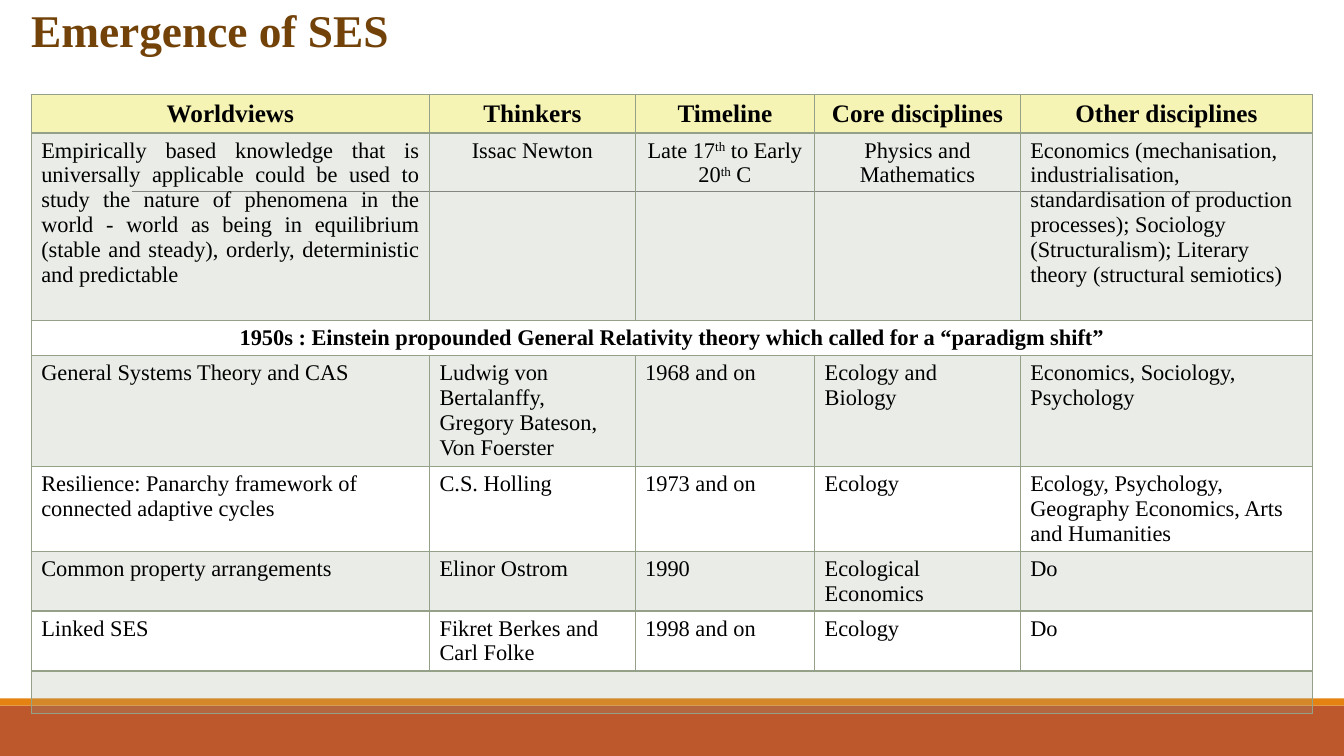
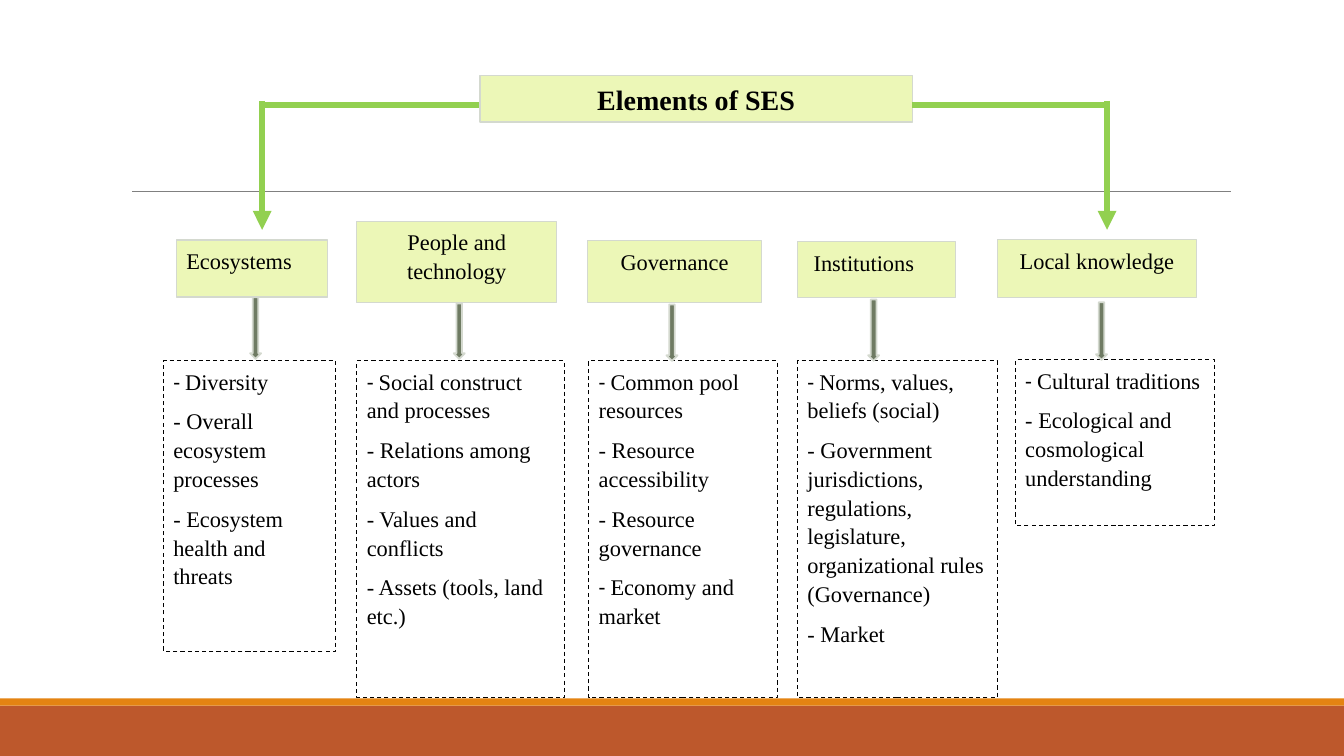
from dataclasses import dataclass, field

import pptx
import pptx.dml.color
import pptx.enum.dml
import pptx.enum.shapes
import pptx.enum.text
import pptx.oxml
import pptx.oxml.ns
import pptx.presentation
import pptx.shapes.autoshape
import pptx.slide
import pptx.table
import pptx.util
from pptx.dml.color import RGBColor
from pptx.enum.dml import MSO_LINE
from pptx.enum.shapes import MSO_CONNECTOR, MSO_SHAPE
from pptx.enum.text import MSO_ANCHOR, PP_ALIGN
from pptx.util import Inches, Pt

BLACK = RGBColor(0x00, 0x00, 0x00)
WHITE = RGBColor(0xFF, 0xFF, 0xFF)
RUST = RGBColor(0xBD, 0x58, 0x2C)
ORANGE = RGBColor(0xE4, 0x83, 0x12)
GREY = RGBColor(0x80, 0x80, 0x80)
BROWN = RGBColor(0x72, 0x42, 0x09)
SAGE = RGBColor(0x94, 0xA0, 0x88)
CREAM = RGBColor(0xF6, 0xF4, 0xB4)
LIME = RGBColor(0xEC, 0xF7, 0xB7)
PALE = RGBColor(0xD4, 0xD9, 0xCF)
GREEN = RGBColor(0x92, 0xD0, 0x50)
MOSS = RGBColor(0x6F, 0x7B, 0x63)

SERIF = "Times New Roman"
SANS = "Calibri"
BODY = {"name": SERIF, "size": Pt(16), "bold": False}
STRONG = {**BODY, "bold": True}
TABLE_HEAD = {**STRONG, "size": Pt(18)}
TITLE = {**STRONG, "size": Pt(32.4)}
CHART_HEAD = {**STRONG, "size": Pt(20)}
LOOSE = {"line_spacing": 1.07, "space_after": Pt(8)}
CENTER = {"alignment": PP_ALIGN.CENTER}
LEFT = {"alignment": PP_ALIGN.LEFT}
JUSTIFY = {"alignment": PP_ALIGN.JUSTIFY}

COLUMN_WIDTHS = [3.95, 2.04, 1.78, 2.04, 2.9]


@dataclass
class Row:
    height: float
    texts: list[str]
    shaded: bool = False
    font: dict = field(default_factory=lambda: BODY)
    layouts: list[dict] = field(default_factory=lambda: [LEFT] * 5)
    merged: bool = False


@dataclass
class Element:
    name: str
    head: tuple[float, float, float, float]
    points: list[str]
    frame: tuple[float, float, float, float]
    arrow: tuple[float, float, float]
    layout: dict = field(default_factory=lambda: CENTER)
    outline: float = 0.75
    inset: float = 0.1
    sans_dashes: tuple[int, ...] = (0,)


ROWS = [
    Row(0.38, ["Worldviews", "Thinkers", "Timeline", "Core disciplines", "Other disciplines"],
        font=TABLE_HEAD, layouts=[CENTER] * 5),
    Row(1.86, [
        "Empirically based knowledge that is universally applicable could be used to study the nature "
        "of phenomena in the world - world as being in equilibrium (stable and steady), orderly, "
        "deterministic and predictable",
        "Issac Newton", "Late 17^th^ to Early 20^th^ C", "Physics and Mathematics",
        "Economics (mechanisation, industrialisation, standardisation of production processes); "
        "Sociology (Structuralism); Literary theory (structural semiotics)",
    ], shaded=True, layouts=[JUSTIFY, CENTER, CENTER, CENTER, LEFT]),
    Row(0.34, ["1950s : Einstein propounded General Relativity theory which called for a “paradigm shift”"],
        font=STRONG, layouts=[CENTER], merged=True),
    Row(1.1, ["General Systems Theory and CAS",
              "Ludwig von\nBertalanffy, Gregory Bateson, Von Foerster",
              "1968 and on", "Ecology and Biology", "Economics, Sociology, Psychology"], shaded=True),
    Row(0.84, ["Resilience: Panarchy framework of connected adaptive cycles", "C.S. Holling",
               "1973 and on", "Ecology",
               "Ecology, Psychology, Geography Economics, Arts and Humanities"]),
    Row(0.59, ["Common property arrangements", "Elinor Ostrom", "1990",
               "Ecological Economics", "Do"], shaded=True),
    Row(0.59, ["Linked SES", "Fikret Berkes and Carl Folke", "1998 and on", "Ecology", "Do"]),
    Row(0.42, [], shaded=True, merged=True),
]

ELEMENTS = [
    Element("Ecosystems", (1.75, 2.38, 1.5, 0.57),
            ["Diversity", "Overall ecosystem processes", "Ecosystem health and threats"],
            (1.62, 3.58, 1.71, 2.88), (2.48, 2.95, 0.61), LEFT, 1.25),
    Element("People and technology", (3.54, 2.2, 1.98, 0.8),
            ["Social construct and processes", "Relations among actors", "Values and conflicts",
             "Assets (tools, land etc.)"],
            (3.54, 3.58, 2.06, 3.34), (4.5, 3.01, 0.55)),
    Element("Governance", (5.83, 2.39, 1.72, 0.61),
            ["Common pool resources", "Resource accessibility", "Resource governance",
             "Economy and market"],
            (5.84, 3.58, 1.87, 3.34), (6.61, 3.02, 0.56), sans_dashes=(0, 3)),
    Element("Institutions", (7.91, 2.4, 1.57, 0.55),
            ["Norms, values, beliefs (social)",
             "Government jurisdictions, regulations, legislature, organizational rules (Governance)",
             "Market"],
            (7.91, 3.58, 1.98, 3.34), (8.61, 2.97, 0.61), LEFT, inset=0.16),
    Element("Local knowledge", (9.89, 2.38, 1.98, 0.57),
            ["Cultural traditions", "Ecological and cosmological understanding"],
            (10.07, 3.57, 1.98, 1.64), (10.87, 3, 0.57)),
]


def apply(target: object, values: dict) -> None:
    for name, value in values.items():
        setattr(target, name, value)


def add_span(para: object, text: str, font: dict, color: RGBColor = BLACK) -> object:
    span = para.add_run()
    span.text = text
    apply(span.font, font)
    span.font.color.rgb = color
    return span


def add_box(page: pptx.slide.Slide, place: tuple[float, float, float, float], fill: RGBColor,
            line: RGBColor | None = None, width: float = 0.75,
            kind: MSO_SHAPE = MSO_SHAPE.RECTANGLE) -> pptx.shapes.autoshape.Shape:
    box = page.shapes.add_shape(kind, *map(Inches, place))
    box.shadow.inherit = False
    box.fill.solid()
    box.fill.fore_color.rgb = fill
    if line is None:
        box.line.fill.background()
    else:
        box.line.color.rgb = line
        box.line.width = Pt(width)
    apply(box.text_frame, {"word_wrap": True, "vertical_anchor": MSO_ANCHOR.TOP})
    return box


def add_line(page: pptx.slide.Slide, start: tuple[float, float], end: tuple[float, float],
             color: RGBColor, width: float, arrow: bool = False) -> None:
    line = page.shapes.add_connector(MSO_CONNECTOR.STRAIGHT, *map(Inches, (*start, *end)))
    line.line.color.rgb = color
    line.line.width = Pt(width)
    if arrow:
        outline = line.line._get_or_add_ln()
        outline.append(outline.makeelement(pptx.oxml.ns.qn("a:tailEnd"), {"type": "triangle"}))
    properties = line._element.spPr
    properties.append(properties.makeelement(pptx.oxml.ns.qn("a:effectLst"), {}))


def add_page(deck: pptx.presentation.Presentation) -> pptx.slide.Slide:
    page = deck.slides.add_slide(deck.slide_layouts[6])
    add_box(page, (0, 7, 13.33, 0.5), RUST)
    add_box(page, (0, 6.93, 13.33, 0.07), ORANGE)
    add_line(page, (1.31, 1.9), (12.21, 1.9), GREY, 0.5)
    return page


def add_title(page: pptx.slide.Slide, text: str) -> None:
    box = page.shapes.add_textbox(*map(Inches, (0.21, 0.06, 12.66, 0.54)))
    box.text_frame.word_wrap = True
    para = box.text_frame.paragraphs[0]
    para.line_spacing = 0.85
    add_span(para, text, TITLE, BROWN)


def style_cell(cell: pptx.table._Cell, row: Row, under_head: bool) -> None:
    properties = cell._tc.get_or_add_tcPr()
    heading = row.font is TABLE_HEAD
    widths = {"L": 1, "R": 1, "T": 2 if under_head else 1, "B": 2 if heading else 1}
    for side, width in widths.items():
        properties.append(pptx.oxml.parse_xml(
            f'<a:ln{side} {pptx.oxml.ns.nsdecls("a")} w="{Pt(width)}"><a:solidFill>'
            f'<a:srgbClr val="{SAGE}"/></a:solidFill></a:ln{side}>'))
    if not (heading or row.shaded):
        cell.fill.background()
        return
    cell.fill.solid()
    cell.fill.fore_color.rgb = CREAM if heading else SAGE
    if row.shaded:
        color = properties.find(pptx.oxml.ns.qn("a:solidFill"))[0]
        color.append(color.makeelement(pptx.oxml.ns.qn("a:alpha"), {"val": "20000"}))


def write_cell(cell: pptx.table._Cell, text: str, font: dict, layout: dict) -> None:
    for index, line in enumerate(text.split("\n")):
        para = cell.text_frame.add_paragraph() if index else cell.text_frame.paragraphs[0]
        apply(para, layout)
        for part, piece in enumerate(line.split("^")):
            span = add_span(para, piece, font)
            if part % 2:
                span._r.get_or_add_rPr().set("baseline", "30000")


def add_worldview_table(page: pptx.slide.Slide) -> None:
    height = sum(row.height for row in ROWS)
    frame = page.shapes.add_table(len(ROWS), len(COLUMN_WIDTHS), Inches(0.31), Inches(0.94),
                                  Inches(sum(COLUMN_WIDTHS)), Inches(height))
    table = frame.table
    apply(table, {"first_row": False, "horz_banding": False})
    for column, width in zip(table.columns, COLUMN_WIDTHS):
        column.width = Inches(width)
    for index, row in enumerate(ROWS):
        table.rows[index].height = Inches(row.height)
        cells = list(table.rows[index].cells)
        for cell in cells:
            style_cell(cell, row, index == 1)
        if row.merged:
            cells[0].merge(cells[-1])
        for cell, text, layout in zip(cells, row.texts, row.layouts):
            write_cell(cell, text, row.font, layout)


def add_heading(page: pptx.slide.Slide, text: str, place: tuple[float, float, float, float],
                font: dict, layout: dict, outline: float, inset: float = 0.1) -> None:
    box = add_box(page, place, LIME, PALE, outline)
    box.text_frame.margin_left = Inches(inset)
    para = box.text_frame.paragraphs[0]
    apply(para, {**LOOSE, **layout})
    add_span(para, text, font)


def add_element(page: pptx.slide.Slide, element: Element) -> None:
    add_heading(page, element.name, element.head, BODY, element.layout, element.outline, element.inset)
    box = add_box(page, element.frame, WHITE, BLACK)
    box.line.dash_style = MSO_LINE.DASH
    for index, point in enumerate(element.points):
        para = box.text_frame.add_paragraph() if index else box.text_frame.paragraphs[0]
        apply(para, {**LOOSE, **LEFT})
        dash_font = SANS if index in element.sans_dashes else SERIF
        add_span(para, "- ", {**BODY, "name": dash_font})
        add_span(para, point, BODY)
    left, top, height = element.arrow
    add_box(page, (left, top, 0.11, height), MOSS, PALE, 1.25, MSO_SHAPE.DOWN_ARROW)


def add_elements_chart(page: pptx.slide.Slide) -> None:
    for element in ELEMENTS:
        add_element(page, element)
    add_heading(page, "Elements of SES", (4.76, 0.75, 4.29, 0.46), CHART_HEAD, CENTER, 1)
    for inner, outer in ((4.75, 2.6), (9.05, 10.98)):
        add_line(page, (inner, 1.04), (outer, 1.04), GREEN, 4.5)
        add_line(page, (outer, 1), (outer, 2.28), GREEN, 4.5, arrow=True)


def main() -> None:
    deck = pptx.Presentation()
    apply(deck, {"slide_width": Inches(13.33), "slide_height": Inches(7.5)})
    emergence = add_page(deck)
    add_worldview_table(emergence)
    add_title(emergence, "Emergence of SES")
    add_elements_chart(add_page(deck))
    deck.save("out.pptx")


if __name__ == "__main__":
    main()
